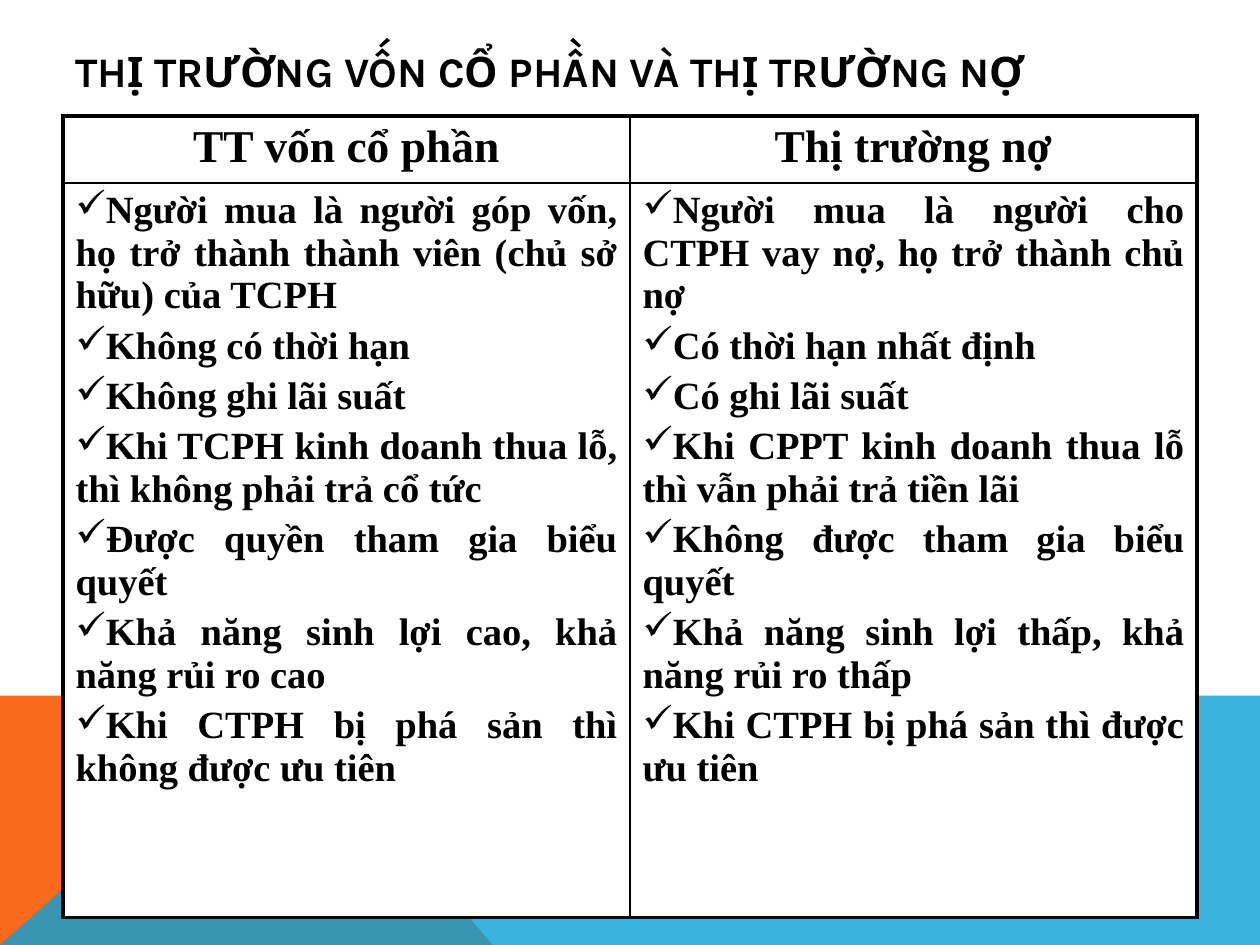
from lxml import etree
from pptx import Presentation
from pptx.dml.color import RGBColor
from pptx.enum.text import MSO_ANCHOR, PP_ALIGN
from pptx.oxml.ns import qn
from pptx.util import Inches, Pt

BLACK = RGBColor(0, 0, 0)
WHITE = RGBColor(255, 255, 255)
ORANGE = RGBColor(0xF9, 0x6A, 0x1B)
BLUE = RGBColor(0x08, 0xA1, 0xD9)
CENTER, JUSTIFY = PP_ALIGN.CENTER, PP_ALIGN.JUSTIFY
MIDDLE = MSO_ANCHOR.MIDDLE
THICK, THIN = Pt(2.25), Pt(1)

HEADERS = ["TT vốn cổ phần", "Thị trường nợ"]
EQUITY = [
    "Người mua là người góp vốn, họ trở thành thành viên (chủ sở hữu) của TCPH",
    "Không có thời hạn",
    "Không ghi lãi suất",
    "Khi TCPH kinh doanh thua lỗ, thì không phải trả cổ tức",
    "Được quyền tham gia biểu quyết",
    "Khả năng sinh lợi cao, khả năng rủi ro cao",
    "Khi CTPH bị phá sản thì không được ưu tiên",
]
DEBT = [
    "Người mua là người cho CTPH vay nợ, họ trở thành chủ nợ",
    "Có thời hạn nhất định",
    "Có ghi lãi suất",
    "Khi CPPT kinh doanh thua lỗ thì vẫn phải trả tiền lãi",
    "Không được tham gia biểu quyết",
    "Khả năng sinh lợi thấp, khả năng rủi ro thấp",
    "Khi CTPH bị phá sản thì được ưu tiên",
]


def add_color(parent, color):
    fill = etree.SubElement(parent, qn("a:solidFill"))
    etree.SubElement(fill, qn("a:srgbClr"), val=str(color))


class SlideBuilder:
    title_font = "Karla"
    table_font = "Times New Roman"

    def __init__(self, slide):
        self.slide = slide

    def polygon(self, points, color, opacity=100):
        corners = [(Inches(x), Inches(y)) for x, y in points]
        builder = self.slide.shapes.build_freeform(*corners[0])
        builder.add_line_segments(corners[1:], close=True)
        shape = builder.convert_to_shape()
        shape.shadow.inherit = False
        shape.line.fill.background()
        shape.fill.solid()
        shape.fill.fore_color.rgb = color
        if opacity < 100:
            color_element = shape._element.spPr.find(".//" + qn("a:srgbClr"))
            etree.SubElement(color_element, qn("a:alpha"), val=str(opacity * 1000))

    def style(self, paragraph, font_name, size, alignment):
        paragraph.alignment = alignment
        font = paragraph.font
        font.name, font.size, font.bold = font_name, Pt(size), True
        font.color.rgb = BLACK

    def title(self, text, left, top, width, height):
        box = self.slide.shapes.add_textbox(
            Inches(left), Inches(top), Inches(width), Inches(height))
        frame = box.text_frame
        frame.word_wrap = True
        frame.vertical_anchor = MIDDLE
        paragraph = frame.paragraphs[0]
        paragraph.text = text
        paragraph.line_spacing = 0.9
        self.style(paragraph, self.title_font, 24, JUSTIFY)

    def bullet(self, paragraph):
        properties = paragraph._p.get_or_add_pPr()
        properties.set("marL", "0")
        properties.set("indent", "0")
        color = etree.SubElement(properties, qn("a:buClr"))
        etree.SubElement(color, qn("a:srgbClr"), val=str(BLACK))
        etree.SubElement(properties, qn("a:buChar"), char="✓")

    def borders(self, cell, widths):
        """Draw the borders before the fill, as the schema orders them."""
        properties = cell._tc.get_or_add_tcPr()
        for side, width in widths.items():
            line = etree.SubElement(properties, qn("a:ln" + side), w=str(width))
            add_color(line, BLACK)

    def cell(self, cell, lines, size, alignment, bulleted=False):
        cell.fill.solid()
        cell.fill.fore_color.rgb = WHITE
        frame = cell.text_frame
        frame.text = "\n".join(lines)
        for index, paragraph in enumerate(frame.paragraphs):
            if bulleted:
                self.bullet(paragraph)
            if index:
                paragraph.space_before = Pt(size * 0.2)
            self.style(paragraph, self.table_font, size, alignment)

    def comparison_table(self, headers, columns, left, top, width, row_heights):
        table = self.slide.shapes.add_table(
            2, len(headers), Inches(left), Inches(top),
            Inches(width), Inches(sum(row_heights))).table
        for row, height in zip(table.rows, row_heights):
            row.height = Inches(height)
        last = len(headers) - 1
        for column, (header, items) in enumerate(zip(headers, columns)):
            for row in range(2):
                self.borders(table.cell(row, column), {
                    "L": THICK if column == 0 else THIN,
                    "R": THICK if column == last else THIN,
                    "T": THICK if row == 0 else THIN,
                    "B": THICK if row == 1 else THIN,
                })
            self.cell(table.cell(0, column), [header], 26, CENTER)
            self.cell(table.cell(1, column), items, 22, JUSTIFY, bulleted=True)


def main():
    presentation = Presentation()
    presentation.slide_width = Inches(10)
    presentation.slide_height = Inches(7.5)
    slide = presentation.slides.add_slide(presentation.slide_layouts[6])
    builder = SlideBuilder(slide)
    builder.polygon([(0, 7.5), (0, 5.52), (2.23, 5.52), (3.91, 7.5)], ORANGE)
    builder.polygon([(0, 7.5), (2.23, 5.52), (10, 5.52), (10, 7.5)], BLUE, opacity=80)
    builder.title("THỊ TRƯỜNG VỐN CỔ PHẦN VÀ THỊ TRƯỜNG NỢ", 0.5, 0.25, 9, 0.67)
    builder.comparison_table(HEADERS, [EQUITY, DEBT], 0.5, 0.92, 9, [0.5, 5.83])
    presentation.save("out.pptx")


if __name__ == "__main__":
    main()
